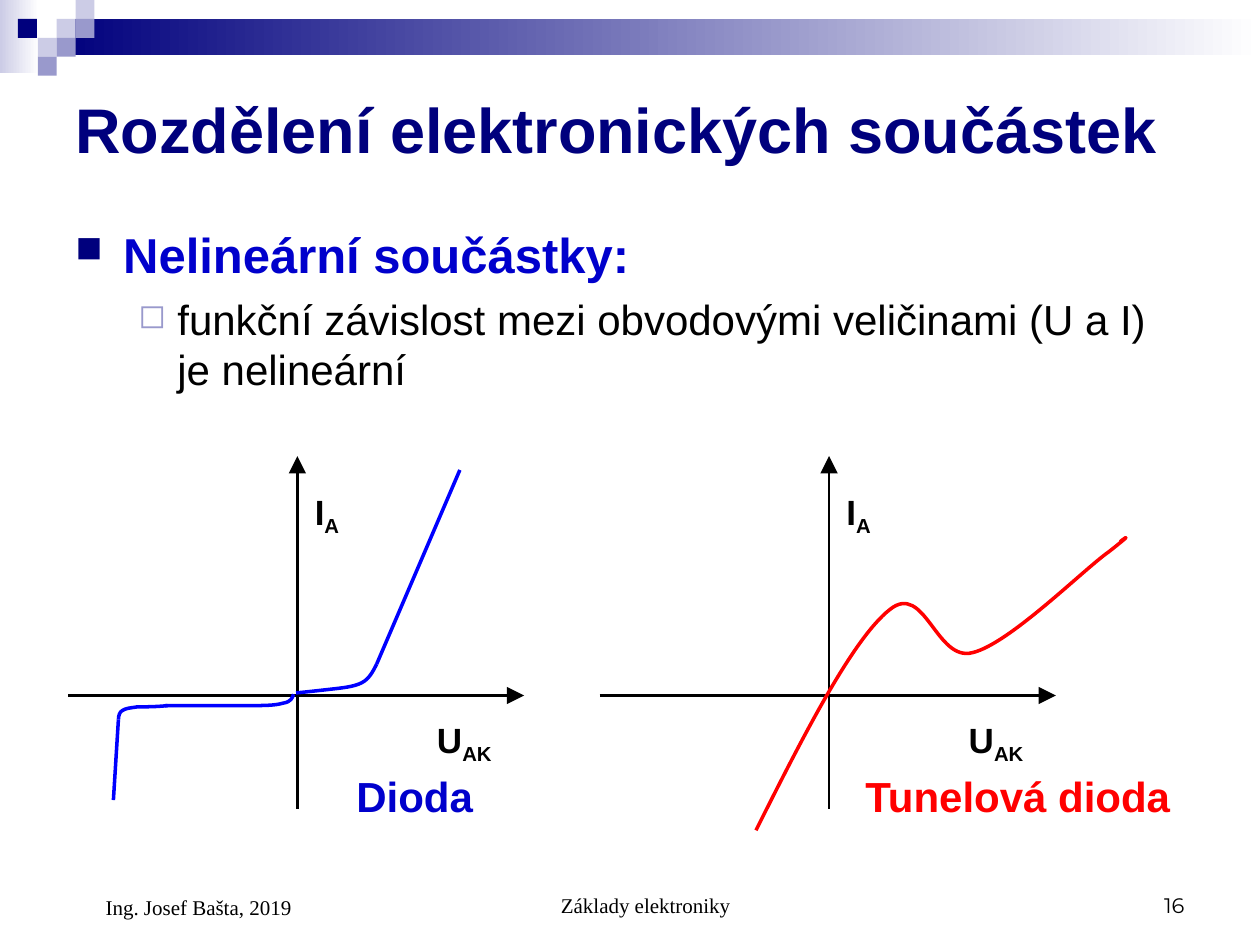
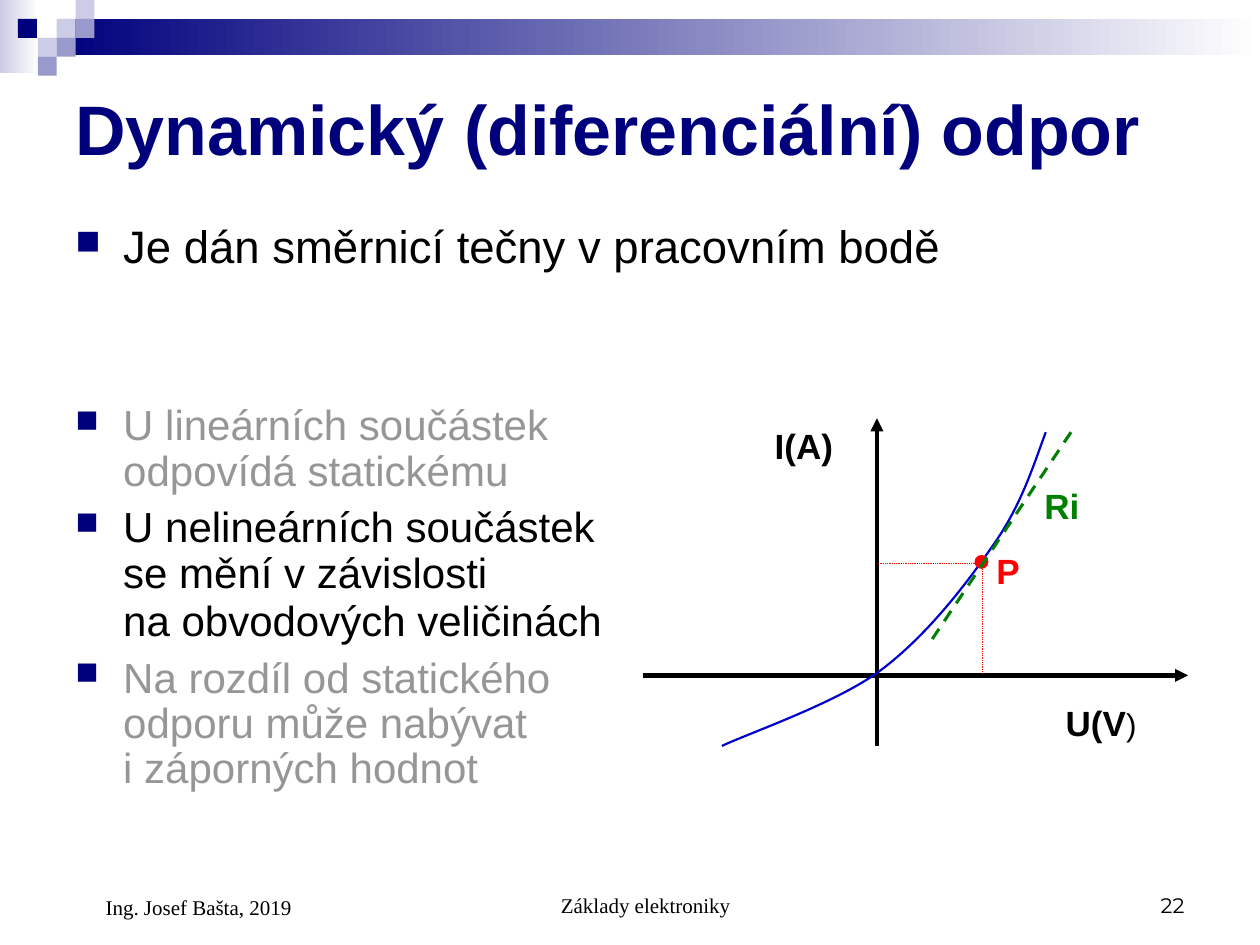
from dataclasses import dataclass
from itertools import chain

from lxml.etree import SubElement
from pptx import Presentation
from pptx.dml.color import RGBColor
from pptx.enum.dml import MSO_LINE_DASH_STYLE as Dash
from pptx.enum.shapes import MSO_CONNECTOR as Connector, MSO_SHAPE as Preset
from pptx.enum.text import MSO_ANCHOR as Anchor, PP_ALIGN as Align
from pptx.oxml.ns import qn
from pptx.util import Cm, Pt


@dataclass(frozen=True)
class Theme:
    navy: str = "00007D"
    lavender: str = "9999CC"
    pale: str = "CCCCE6"
    white: str = "FFFFFF"
    black: str = "000000"
    gray: str = "969696"
    blue: str = "0000CC"
    bright_blue: str = "0000FF"
    red: str = "FF0000"
    green: str = "008000"
    font: str = "Arial"
    footer_font: str = "Times New Roman"
    number_font: str = "Montserrat"
    bullet_font: str = "OpenSymbol"
    heading: int = 28
    lead: int = 26
    body: int = 24
    label: int = 20
    small_label: int = 18
    footer: int = 12


THEME = Theme()


def inches(value):
    return Cm(value * 2.54)


class Deck:
    def __init__(self, theme):
        self.theme = theme
        self.presentation = Presentation()
        self.presentation.slide_width = inches(10)
        self.presentation.slide_height = inches(7.5)
        self.slide = None

    def new_slide(self, title, title_size, number):
        theme = self.theme
        self.slide = self.presentation.slides.add_slide(self.presentation.slide_layouts[6])
        self.header()
        self.text((0.5, 0.5, 9, 1.03), [(title, {})], anchor=Anchor.MIDDLE,
                  size=title_size, color=theme.navy, bold=True)
        footers = [
            ((3.42, 6.83, 3.17, 0.5), "Základy elektroniky", Align.CENTER, theme.footer_font, 0.24),
            ((7.17, 6.83, 2.33, 0.5), str(number), Align.RIGHT, theme.number_font, 0),
            ((0.5, 6.83, 2.33, 0.52), "Ing. Josef Bašta, 2019", Align.LEFT, theme.footer_font, 0.24),
        ]
        for box, words, align, font, indent in footers:
            self.text(box, [(words, {})], anchor=Anchor.BOTTOM, align=align,
                      indent=indent, name=font, size=theme.footer)

    def header(self):
        theme = self.theme
        self.shape((0, 0, 0.31, 0.58), theme.pale, fade=True)
        self.shape((0.45, 0.15, 9.55, 0.29), theme.navy, fade=True)
        tiles = [(3, 1, theme.pale), (4, 0, theme.pale), (4, 1, theme.lavender),
                 (2, 2, theme.pale), (0.95, 1, theme.navy), (3, 2, theme.lavender),
                 (2, 3, theme.lavender)]
        for column, row, color in tiles:
            self.shape((0.15 * column, 0.15 * row, 0.15, 0.15), color)

    def shape(self, box, color, preset=Preset.RECTANGLE, fade=False):
        shape = self.slide.shapes.add_shape(preset, *map(inches, box))
        shape.shadow.inherit = False
        shape.line.fill.background()
        if fade:
            shape.fill.gradient()
            shape.fill.gradient_angle = 0
            for stop, stop_color in zip(shape.fill.gradient_stops, (color, self.theme.white)):
                stop.color.rgb = RGBColor.from_string(stop_color)
        else:
            shape.fill.solid()
            shape.fill.fore_color.rgb = RGBColor.from_string(color)
        return shape

    def frame(self, box, anchor=Anchor.TOP):
        frame = self.slide.shapes.add_textbox(*map(inches, box)).text_frame
        frame.word_wrap = True
        frame.vertical_anchor = anchor
        return frame

    def run(self, paragraph, words, subscript=False, **formats):
        settings = {"name": self.theme.font, "size": self.theme.label,
                    "color": self.theme.black, "bold": False, **formats}
        color = settings.pop("color")
        settings["size"] = Pt(settings["size"])
        for number, line in enumerate(words.split("\n")):
            if number:
                paragraph.add_line_break()
            run = paragraph.add_run()
            run.text = line
            for attribute, value in settings.items():
                setattr(run.font, attribute, value)
            run.font.color.rgb = RGBColor.from_string(color)
            if subscript:
                run._r.get_or_add_rPr().set("baseline", "-25000")

    def text(self, box, runs, anchor=Anchor.TOP, align=Align.LEFT, indent=0, **formats):
        paragraph = self.frame(box, anchor).paragraphs[0]
        paragraph.alignment = align
        paragraph._p.get_or_add_pPr().set("marL", str(inches(indent)))
        for words, changes in runs:
            self.run(paragraph, words, **{**formats, **changes})

    def bullets(self, box, items, line_spacing=1.0):
        theme = self.theme
        levels = [(0.38, 0.38, theme.navy, 75, "■"), (0.81, 0.31, theme.lavender, 80, "◻")]
        frame = self.frame(box)
        for number, (level, space, runs) in enumerate(items):
            paragraph = frame.add_paragraph() if number else frame.paragraphs[0]
            paragraph.line_spacing = line_spacing
            paragraph.space_before = Pt(space)
            margin, hanging, color, percent, symbol = levels[level]
            properties = paragraph._p.get_or_add_pPr()
            properties.set("marL", str(inches(margin)))
            properties.set("indent", str(-inches(hanging)))
            bullet_color = SubElement(properties, qn("a:buClr"))
            SubElement(bullet_color, qn("a:srgbClr"), val=color)
            SubElement(properties, qn("a:buSzPct"), val=str(percent * 1000))
            SubElement(properties, qn("a:buFont"), typeface=theme.bullet_font)
            SubElement(properties, qn("a:buChar"), char=symbol)
            for words, formats in runs:
                self.run(paragraph, words, **formats)

    def stroke(self, line, color, width, dash=None):
        line.color.rgb = RGBColor.from_string(color)
        line.width = Pt(width)
        if dash:
            line.dash_style = dash

    def line(self, start, end, color, width, dash=None, arrow=None):
        connector = self.slide.shapes.add_connector(
            Connector.STRAIGHT, *map(inches, (*start, *end)))
        self.stroke(connector.line, color, width, dash)
        if arrow:
            SubElement(connector.line._get_or_add_ln(), qn("a:tailEnd"),
                       type="triangle", w=arrow, len=arrow)
        SubElement(connector._element.spPr, qn("a:effectLst"))

    def curve(self, start, segments, color, width):
        points = [tuple(map(inches, point)) for point in chain([start], *segments)]
        builder = self.slide.shapes.build_freeform(*points[0])
        builder.add_line_segments(points[1:], close=False)
        shape = builder.convert_to_shape()
        outline = next(shape._element.iter(qn("a:path")))
        steps = outline.findall(qn("a:lnTo"))
        for first in range(0, len(steps), 3):
            bend = SubElement(outline, qn("a:cubicBezTo"))
            for step in steps[first:first + 3]:
                bend.append(step[0])
                outline.remove(step)
        shape.shadow.inherit = False
        shape.fill.background()
        self.stroke(shape.line, color, width)

    def axes(self, left, right, top, bottom, origin, width, arrow):
        x, y = origin
        self.line((left, y), (right, y), self.theme.black, width, arrow=arrow)
        self.line((x, bottom), (x, top), self.theme.black, width, arrow=arrow)

    def diode_axes(self, left):
        self.axes(left, left + 3.62, 3.62, 6.42, (left + 1.82, 5.52), 1.5, "lg")
        labels = [("U", "AK", (left + 2.83, 5.65, 0.83, 0.48)),
                  ("I", "A", (left + 1.86, 3.84, 0.44, 0.48))]
        for quantity, index, box in labels:
            self.text(box, [(quantity, {}), (index, {"subscript": True})], bold=True)


def nonlinear_parts(deck):
    theme = deck.theme
    deck.new_slide("Rozdělení elektronických součástek", 36, 16)
    deck.bullets((0.5, 1.73, 9, 1.5), [
        (0, 7, [("Nelineární součástky:",
                 {"size": theme.heading, "color": theme.blue, "bold": True})]),
        (1, 6, [("funkční závislost mezi obvodovými veličinami (U a I)\nje nelineární",
                 {"size": theme.body})]),
    ])
    for left in (0.54, 4.76):
        deck.diode_axes(left)

    for start, end in [((2.99, 5.27), (3.65, 3.73)), ((0.9, 6.35), (0.94, 5.71))]:
        deck.line(start, end, theme.bright_blue, 2)
    diode_bends = [
        ((2.99, 5.27), [((2.96, 5.33), (2.93, 5.39), (2.87, 5.42)),
                        ((2.81, 5.45), (2.72, 5.46), (2.63, 5.47)),
                        ((2.54, 5.48), (2.45, 5.49), (2.35, 5.5))]),
        ((1.33, 5.6), [((1.24, 5.61), (1.15, 5.61), (1.09, 5.61)),
                       ((1.03, 5.62), (1, 5.62), (0.97, 5.64)),
                       ((0.95, 5.65), (0.94, 5.68), (0.94, 5.71))]),
        ((1.31, 5.6), [((1.55, 5.6), (1.79, 5.6), (1.94, 5.6)),
                       ((2.1, 5.6), (2.18, 5.6), (2.25, 5.58)),
                       ((2.31, 5.57), (2.32, 5.54), (2.33, 5.51))]),
    ]
    for start, segments in diode_bends:
        deck.curve(start, segments, theme.bright_blue, 2)
    deck.curve((6, 6.59), [((6.38, 5.83), (6.77, 5.07), (7.06, 4.84)),
                           ((7.34, 4.61), (7.43, 5.26), (7.72, 5.18)),
                           ((8.01, 5.11), (8.6, 4.52), (8.8, 4.38)),
                           ((8.99, 4.23), (8.94, 4.26), (8.89, 4.3))], theme.red, 2)

    for name, left, width, color in [("Dioda", 2.73, 1.57, theme.blue),
                                     ("Tunelová dioda", 6.77, 2.94, theme.red)]:
        deck.text((left, 6.07, width, 0.5), [(name, {})],
                  size=theme.body, color=color, bold=True)


def dynamic_resistance(deck):
    theme = deck.theme
    faded = {"size": theme.body, "color": theme.gray}
    deck.new_slide("Dynamický (diferenciální) odpor", 40, 22)
    deck.bullets((0.5, 1.73, 9, 4.88), [
        (0, 6.5, [("Je dán směrnicí tečny v pracovním bodě", {"size": theme.lead})]),
        (0, 75, [("U lineárních součástek \nodpovídá statickému", faded)]),
        (0, 6.5, [("U nelineárních součástek \nse mění v závislosti \nna obvodových veličinách",
                   {"size": theme.body}), (" ", {"size": theme.lead})]),
        (0, 6, [("Na rozdíl od statického \nodporu může nabývat \ni záporných hodnot", faded)]),
    ], line_spacing=0.9)

    deck.axes(5.1, 9.43, 3.32, 5.92, (6.96, 5.36), 2.5, "med")
    deck.curve((8.3, 3.43), [((8.19, 3.73), (8.1, 4.02), (7.88, 4.33)),
                             ((7.66, 4.65), (7.35, 5.05), (6.99, 5.32)),
                             ((6.64, 5.58), (5.94, 5.82), (5.73, 5.92))], theme.blue, 1.25)
    point = deck.shape((7.74, 4.41, 0.1, 0.1), theme.red, Preset.OVAL)
    deck.stroke(point.line, theme.red, 0.75)
    for start, end in [((7.8, 4.46), (7.8, 5.35)), ((7.74, 4.47), (6.97, 4.47))]:
        deck.line(start, end, theme.red, 0.5, Dash.ROUND_DOT)
    deck.line((8.5, 3.43), (7.38, 5.1), theme.green, 1.75, Dash.DASH)

    closing = (")", {"size": theme.small_label, "bold": False})
    labels = [((8.36, 5.52, 0.93, 0.44), [("U(V", {}), closing], theme.black),
              ((6.05, 3.32, 0.96, 0.44), [("I(A)", {})], theme.black),
              ((7.81, 4.31, 0.45, 0.44), [("P", {})], theme.red),
              ((8.19, 3.8, 0.93, 0.44), [("Ri", {})], theme.green)]
    for box, runs, color in labels:
        deck.text(box, runs, color=color, bold=True)


def main():
    deck = Deck(THEME)
    nonlinear_parts(deck)
    dynamic_resistance(deck)
    deck.presentation.save("out.pptx")


if __name__ == "__main__":
    main()
